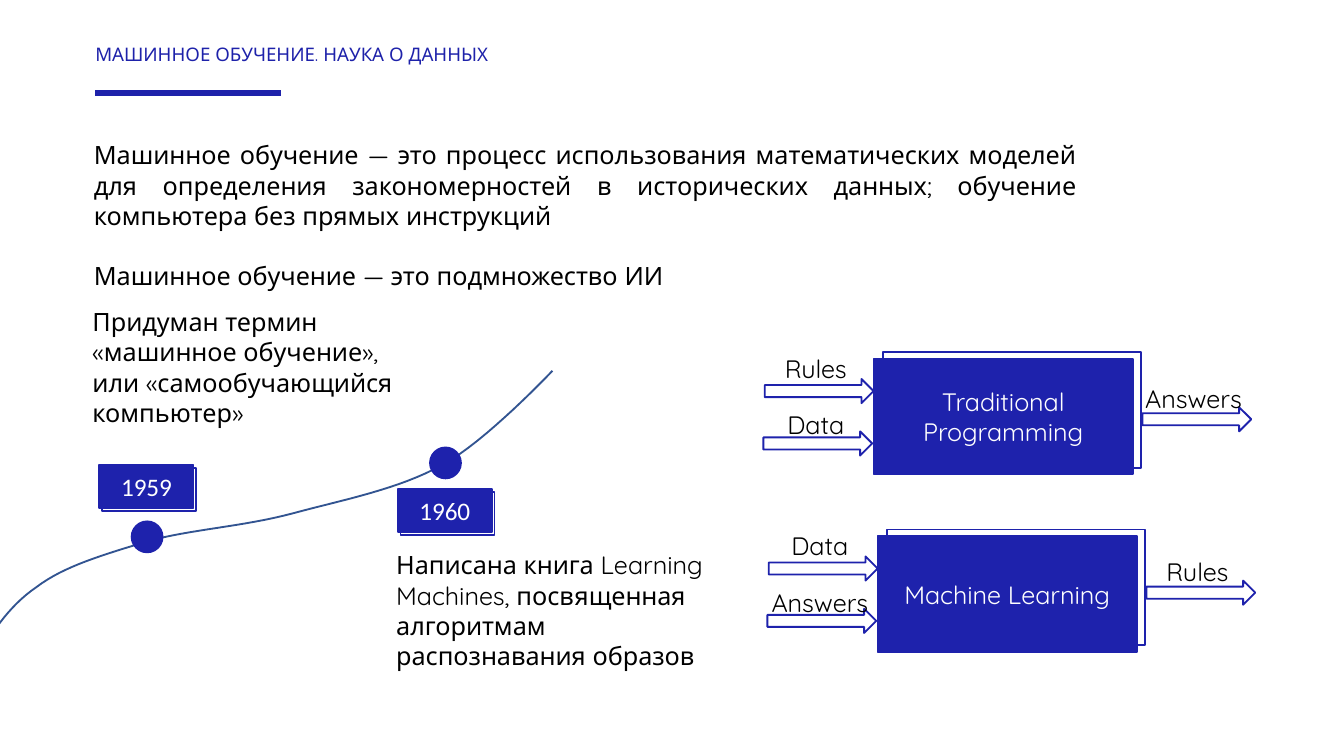
from pptx import Presentation
from pptx.dml.color import RGBColor
from pptx.enum.shapes import MSO_CONNECTOR, MSO_SHAPE
from pptx.enum.text import MSO_ANCHOR, PP_ALIGN
from pptx.oxml.ns import qn
from pptx.util import Inches, Pt
from lxml import etree

COLORS = {"blue": "1E22AC", "title": "1E22AA", "curve": "325491",
          "text": "000000", "white": "FFFFFF"}
FONT = "Quicksand"
BODY_SIZE = 13.5


def color(name):
    return RGBColor.from_string(COLORS[name])


def write(box, paragraphs, ink="text", size=BODY_SIZE, font=FONT,
          align=PP_ALIGN.LEFT, anchor=MSO_ANCHOR.TOP, gap=0, insets=None):
    frame = box.text_frame
    frame.word_wrap = True
    frame.vertical_anchor = anchor
    if insets:
        (frame.margin_left, frame.margin_top,
         frame.margin_right, frame.margin_bottom) = map(Inches, insets)
    for index, text in enumerate(paragraphs):
        para = frame.add_paragraph() if index else frame.paragraphs[0]
        para.alignment = align
        if index:
            para.space_before = Pt(gap)
        span = para.add_run()
        span.text = text
        span.font.name = font
        span.font.size = Pt(size)
        span.font.color.rgb = color(ink)


def add_text(page, left, top, width, height, paragraphs, **style):
    box = page.shapes.add_textbox(*map(Inches, (left, top, width, height)))
    write(box, paragraphs, **style)


def add_shape(page, kind, left, top, width, height, filled=False):
    shape = page.shapes.add_shape(kind, *map(Inches, (left, top, width, height)))
    shape.shadow.inherit = False
    if filled:
        shape.fill.solid()
        shape.fill.fore_color.rgb = color("blue")
    else:
        shape.fill.background()
    shape.line.color.rgb = color("blue")
    shape.line.width = Pt(1)
    return shape


def add_header(page, left, top, text):
    add_text(page, left, top, 5.62, 0.43, [text], ink="title", size=10,
             insets=(0, 0.05, 0.1, 0.05))
    rule = page.shapes.add_connector(
        MSO_CONNECTOR.STRAIGHT, Inches(left), Inches(top + 0.42),
        Inches(left + 1.38), Inches(top + 0.42))
    rule.line.color.rgb = color("title")
    rule.line.width = Pt(3)
    etree.SubElement(rule._element.spPr, qn("a:effectLst"))


def bezier(start, first, second, end, steps=16):
    """Points along a cubic curve, without its start."""
    for step in range(1, steps + 1):
        t = step / steps
        weights = ((1 - t) ** 3, 3 * t * (1 - t) ** 2, 3 * t * t * (1 - t), t ** 3)
        yield tuple(Inches(sum(w * point[axis] for w, point in
                               zip(weights, (start, first, second, end))))
                    for axis in (0, 1))


def add_timeline_curve(page, left, top):
    # Offsets from the box corner: start, then two handles and an end per segment
    start = (0, 2.2)
    segments = [((0.13, 1.98), (0.26, 1.76), (0.48, 1.61)),
                ((0.69, 1.45), (0.98, 1.37), (1.3, 1.27)),
                ((1.62, 1.18), (2.02, 1.16), (2.39, 1.06)),
                ((2.76, 0.96), (3.18, 0.88), (3.5, 0.7)),
                ((3.82, 0.53), (4.32, 0), (4.32, 0))]
    builder = page.shapes.build_freeform(Inches(start[0]), Inches(start[1]))
    for segment in segments:
        builder.add_line_segments(list(bezier(start, *segment)), close=False)
        start = segment[-1]
    curve = builder.convert_to_shape(Inches(left), Inches(top))
    curve.shadow.inherit = False
    curve.fill.background()
    curve.line.color.rgb = color("curve")
    curve.line.width = Pt(1)


def add_milestone(page, left, top, year, dot_drop, caption, caption_box):
    add_shape(page, MSO_SHAPE.OVAL, left + 0.24, top + dot_drop, 0.23, 0.23, True)
    label = add_shape(page, MSO_SHAPE.RECTANGLE, left, top, 0.7, 0.32, True)
    write(label, [year], ink="white", font="Calibri", align=PP_ALIGN.CENTER,
          anchor=MSO_ANCHOR.MIDDLE)
    add_shape(page, MSO_SHAPE.RECTANGLE, left + 0.02, top + 0.02, 0.7, 0.32)
    shift, drop, width = caption_box
    add_text(page, left + shift, top + drop, width, 1.05, [caption], insets=(0.1,) * 4)


def add_flow(page, left, top, arrow_left, arrow_top, label_center, label_top, text):
    add_shape(page, MSO_SHAPE.RIGHT_ARROW, left + arrow_left, top + arrow_top, 0.81, 0.18)
    width = 0.82 if len(text) > 5 else 0.64
    add_text(page, left + label_center - width / 2, top + label_top, width, 0.33,
             [text], align=PP_ALIGN.CENTER, insets=(0.04, 0.05, 0.04, 0.05))


def add_process(page, left, top, name, inputs, output, output_top):
    block = add_shape(page, MSO_SHAPE.RECTANGLE, left, top, 1.93, 0.86, True)
    write(block, [name], ink="white", align=PP_ALIGN.CENTER, anchor=MSO_ANCHOR.MIDDLE)
    for row, text in enumerate(inputs):
        add_flow(page, left, top, -0.81 - 0.01 * row, 0.15 + 0.39 * row,
                 -0.43, -0.09 + 0.42 * row, text)
    add_flow(page, left, top, 2, output_top, 2.38, output_top - 0.23, output)
    add_shape(page, MSO_SHAPE.RECTANGLE, left + 0.07, top - 0.05, 1.92, 0.86)


def main():
    deck = Presentation()
    # Widescreen, 16:9
    deck.slide_width = Inches(10)
    deck.slide_height = deck.slide_width * 9 // 16
    page = deck.slides.add_slide(deck.slide_layouts[6])

    # Definition
    add_text(page, 0.6, 0.94, 7.51, 1.4, [
        "Машинное обучение — это процесс использования математических моделей "
        "для определения закономерностей в исторических данных; обучение "
        "компьютера без прямых инструкций",
        "Машинное обучение — это подмножество ИИ",
    ], align=PP_ALIGN.JUSTIFY, gap=16.3, insets=(0.1,) * 4)

    # Timeline
    add_timeline_curve(page, -0.21, 2.76)
    add_milestone(page, 0.74, 3.46, "1959", 0.42,
                  "Придуман термин «машинное обучение», или «самообучающийся компьютер»",
                  (-0.15, -1.28, 2.67))
    add_milestone(page, 2.96, 3.64, "1960", -0.31,
                  "Написана книга Learning Machines, посвященная алгоритмам "
                  "распознавания образов", (-0.11, 0.35, 2.77))

    # Two ways to program
    add_process(page, 6.5, 2.67, "Traditional Programming", ["Rules", "Data"],
                "Answers", 0.36)
    add_process(page, 6.53, 3.99, "Machine Learning", ["Data", "Answers"],
                "Rules", 0.33)

    add_header(page, 0.71, 0.27, "МАШИННОЕ ОБУЧЕНИЕ. НАУКА О ДАННЫХ")
    deck.save("out.pptx")


if __name__ == "__main__":
    main()
